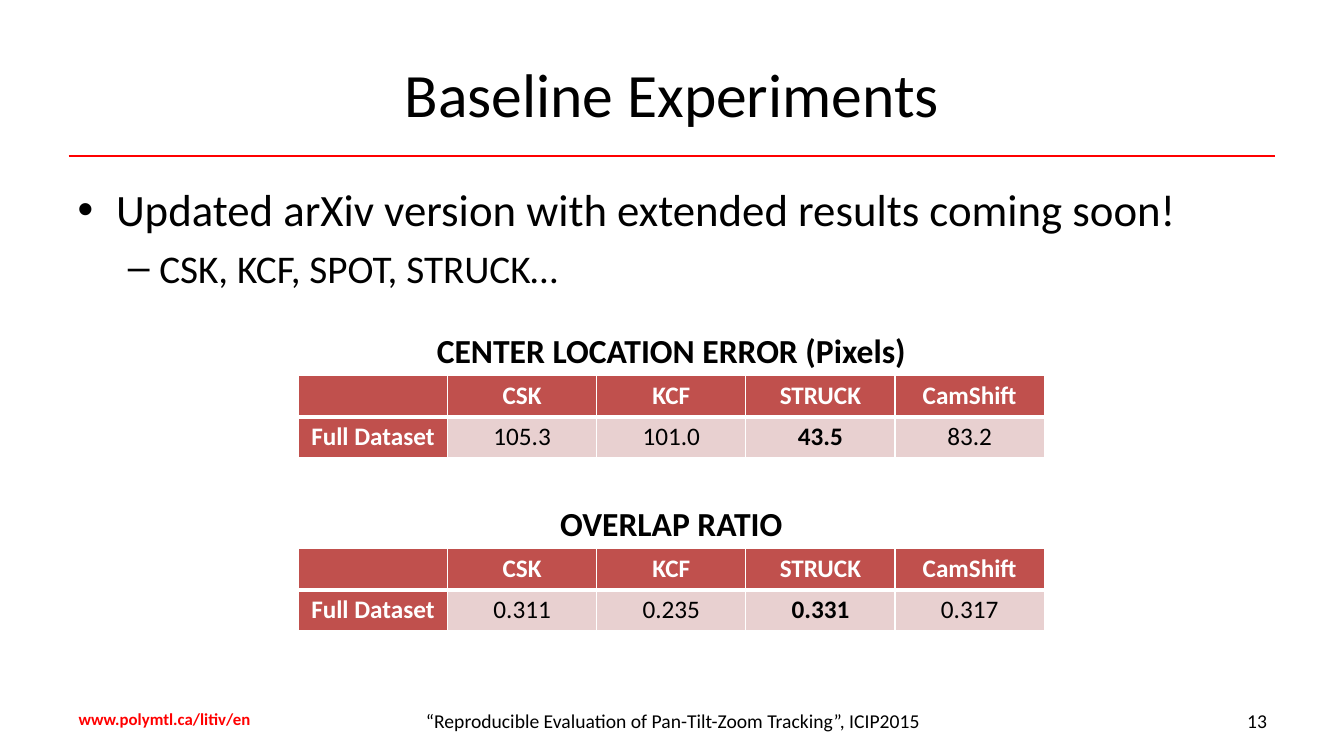
"""Build the baseline experiments slide with its two result tables."""
import pptx
import pptx.dml.color
import pptx.enum.shapes
import pptx.enum.text
import pptx.oxml
import pptx.oxml.ns
import pptx.util

Cm = pptx.util.Cm
Pt = pptx.util.Pt
ALIGN = pptx.enum.text.PP_ALIGN
ANCHOR = pptx.enum.text.MSO_ANCHOR
NS = pptx.oxml.ns.nsdecls("a")

COLORS = {
    "text": "000000",
    "accent": "FF0000",
    "header": "C0504D",
    "value": "E8D0D0",
    "white": "FFFFFF",
}
TRACKERS = ["CSK", "KCF", "STRUCK", "CamShift"]
RESULTS = [
    ("CENTER LOCATION ERROR (Pixels)", ["105.3", "101.0", "43.5", "83.2"]),
    ("OVERLAP RATIO", ["0.311", "0.235", "0.331", "0.317"]),
]
BEST = "STRUCK"
COLUMN_WIDTH, ROW_HEIGHT = 3.76, 1.03
TABLE_LEFT, FIRST_CAPTION_TOP = 7.52, 8.18
CAPTION_HEIGHT, RESULT_PITCH = 1.29, 4.36


def rgb(name):
    return pptx.dml.color.RGBColor.from_string(COLORS[name])


def write(paragraph, text, size=18, color="text", bold=False, align=ALIGN.LEFT):
    paragraph.alignment = align
    run = paragraph.add_run()
    run.text = text
    run.font.name = "Calibri"
    run.font.size = Pt(size)
    run.font.bold = bold
    run.font.color.rgb = rgb(color)


def place(shape, left, top, width, height):
    shape.left, shape.top = Cm(left), Cm(top)
    shape.width, shape.height = Cm(width), Cm(height)


def add_label(slide, box, text, anchor=ANCHOR.TOP, **style):
    frame = slide.shapes.add_textbox(*map(Cm, box)).text_frame
    frame.word_wrap = True
    frame.vertical_anchor = anchor
    write(frame.paragraphs[0], text, **style)


def add_title(slide, text):
    title = slide.shapes.title
    place(title, 1.7, 0.76, 30.48, 3.18)
    title.text_frame.vertical_anchor = ANCHOR.MIDDLE
    write(title.text_frame.paragraphs[0], text, size=44, align=ALIGN.CENTER)


def add_rule(slide):
    rule = slide.shapes.add_connector(
        pptx.enum.shapes.MSO_CONNECTOR.STRAIGHT,
        Cm(1.73), Cm(3.94), Cm(32.13), Cm(3.94))
    rule.line.color.rgb = rgb("accent")
    rule.line.width = Pt(1.25)
    rule._element.spPr.append(pptx.oxml.parse_xml(f"<a:effectLst {NS}/>"))


def write_bullet(paragraph, text, level, mark, indent, hanging, size, before):
    paragraph.level = level
    properties = paragraph._p.get_or_add_pPr()
    properties.set("marL", str(Cm(indent)))
    properties.set("indent", str(-Cm(hanging)))
    properties.append(pptx.oxml.parse_xml(f'<a:buFont {NS} typeface="Arial"/>'))
    properties.append(pptx.oxml.parse_xml(f'<a:buChar {NS} char="{mark}"/>'))
    paragraph.space_before = Pt(before)
    write(paragraph, text, size=size)


def add_bullets(slide):
    body = slide.placeholders[1]
    place(body, 1.7, 4.45, 30.48, 12.57)
    frame = body.text_frame
    write_bullet(frame.paragraphs[0],
                 "Updated arXiv version with extended results coming soon!",
                 0, "•", 0.97, 0.97, 32, 0)
    write_bullet(frame.add_paragraph(), "CSK, KCF, SPOT, STRUCK…",
                 1, "–", 2.06, 0.79, 28, 6)


def set_borders(cell, row):
    widths = {"lnL": 1, "lnR": 1,
              "lnT": 3 if row else 1, "lnB": 1 if row else 3}
    for side, width in widths.items():
        cell._tc.get_or_add_tcPr().append(pptx.oxml.parse_xml(
            f'<a:{side} {NS} w="{Pt(width)}"><a:solidFill>'
            f'<a:srgbClr val="{COLORS["white"]}"/></a:solidFill></a:{side}>'))


def add_results(slide, top, caption, values):
    grid = [["", *TRACKERS], ["Full Dataset", *values]]
    columns = len(grid[0])
    width = COLUMN_WIDTH * columns
    table = slide.shapes.add_table(
        len(grid), columns, Cm(TABLE_LEFT), Cm(top + CAPTION_HEIGHT),
        Cm(width), Cm(ROW_HEIGHT * len(grid))).table
    for row, texts in enumerate(grid):
        table.rows[row].height = Cm(ROW_HEIGHT)
        for column, text in enumerate(texts):
            cell = table.cell(row, column)
            heading = row == 0 or column == 0
            set_borders(cell, row)
            cell.fill.solid()
            cell.fill.fore_color.rgb = rgb("header" if heading else "value")
            if text:
                write(cell.text_frame.paragraphs[0], text,
                      color="white" if heading else "text",
                      bold=heading or grid[0][column] == BEST,
                      align=ALIGN.CENTER)
    add_label(slide, (TABLE_LEFT, top, width, CAPTION_HEIGHT), caption,
              size=24, bold=True, align=ALIGN.CENTER)


def add_footer(slide):
    add_label(slide, (1.73, 17.73, 9.32, 0.76), "www.polymtl.ca/litiv/en",
              size=12, color="accent", bold=True)
    add_label(slide, (0, 17.65, 33.93, 1.02),
              "“Reproducible Evaluation of Pan-Tilt-Zoom Tracking”, ICIP2015",
              anchor=ANCHOR.MIDDLE, size=14, align=ALIGN.CENTER)
    add_label(slide, (24.28, 17.65, 7.9, 1.02), "13",
              anchor=ANCHOR.MIDDLE, size=14, align=ALIGN.RIGHT)


def main():
    deck = pptx.Presentation()
    deck.slide_width, deck.slide_height = Cm(33.87), Cm(19.05)
    slide = deck.slides.add_slide(deck.slide_layouts[1])
    add_rule(slide)
    add_footer(slide)
    add_title(slide, "Baseline Experiments")
    add_bullets(slide)
    for index, (caption, values) in enumerate(RESULTS):
        add_results(slide, FIRST_CAPTION_TOP + index * RESULT_PITCH,
                    caption, values)
    deck.save("out.pptx")


if __name__ == "__main__":
    main()
